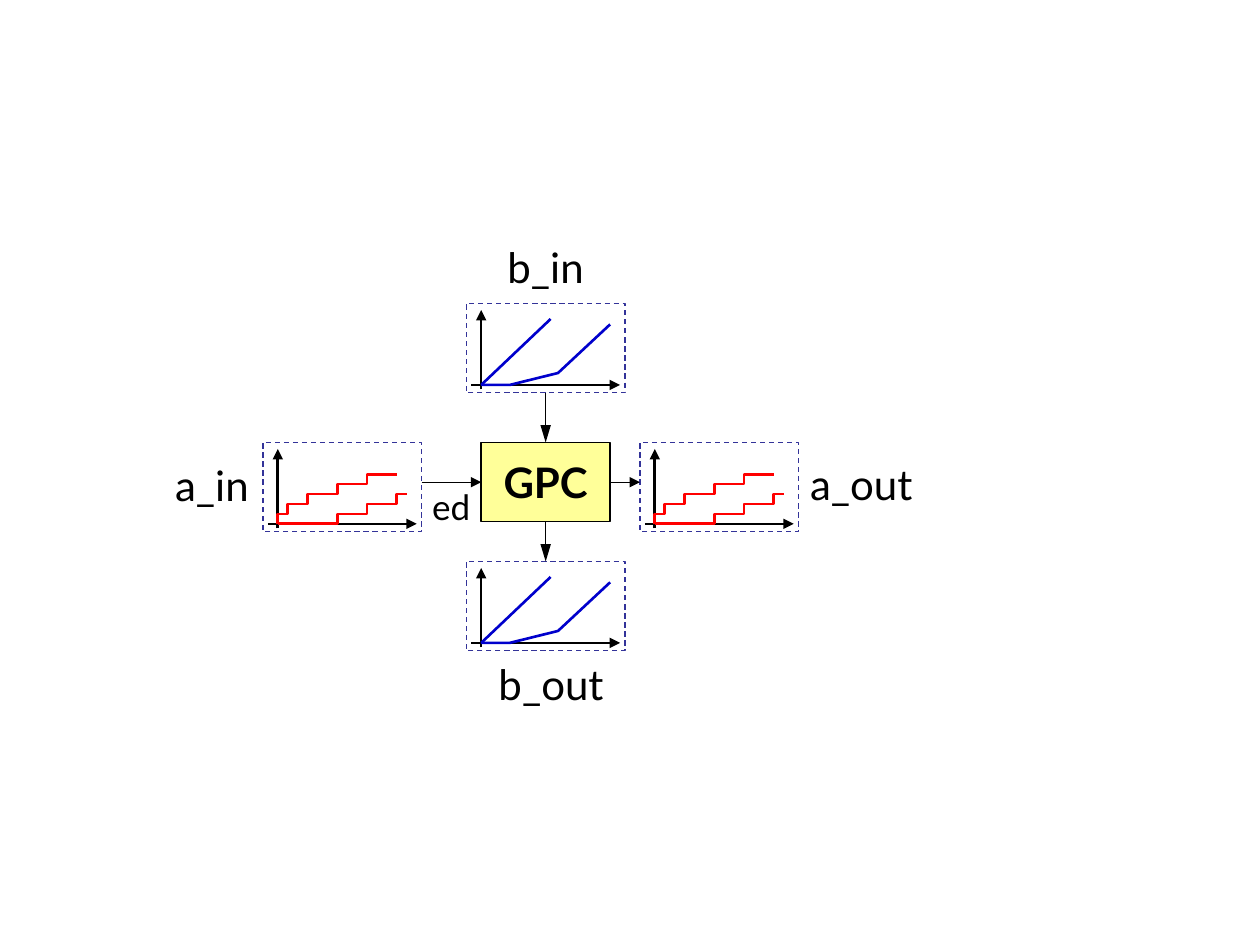
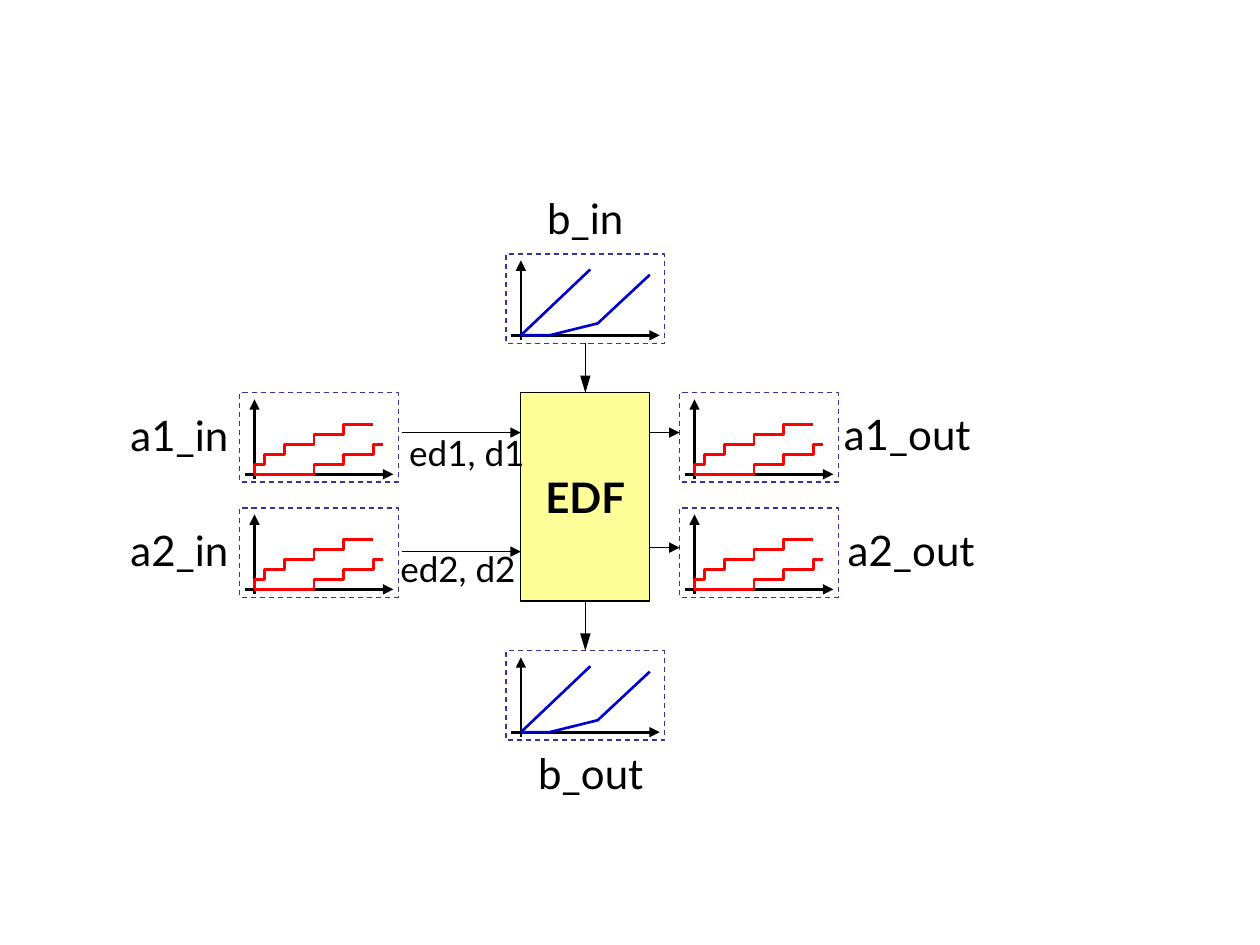
from dataclasses import dataclass

from lxml.etree import SubElement
from pptx import Presentation
from pptx.dml.color import RGBColor
from pptx.enum.dml import MSO_LINE
from pptx.enum.shapes import MSO_CONNECTOR, MSO_SHAPE
from pptx.enum.text import MSO_ANCHOR, MSO_AUTO_SIZE, PP_ALIGN
from pptx.oxml.ns import qn
from pptx.util import Inches, Pt


@dataclass(frozen=True)
class Theme:
    font: str = "Lato"
    ink: str = "000000"
    paper: str = "FFFFFF"
    block: str = "FFFF99"
    frame: str = "333399"
    service: str = "0000CC"
    arrival: str = "FF0000"
    label_size: int = 24
    note_size: int = 20
    thin: float = 0.75
    thick: float = 1.5


# Grid: square cells, 127 to the slide width
COLUMNS = 127
FRAME_W, FRAME_H = 16, 9
BLOCK_W = 13
ORIGIN_X, ORIGIN_Y = 1.5, 8.2  # chart origin inside its frame

# Curves in cells, right and up from the chart origin
SERVICE = [
    [(0, 0), (2.9, 0), (7.75, 1.2), (13, 6.1)],
    [(0, 0), (7, 6.65)],
]
ARRIVAL = [
    [(0, 0), (6, 0), (6, 1), (9, 1), (9, 2), (12, 2), (12, 3), (13, 3)],
    [(0, 0), (0, 1), (1, 1), (1, 2), (3, 2), (3, 3), (6, 3), (6, 4),
     (9, 4), (9, 5), (12, 5)],
]


class Diagram:
    """Draws the parts of a component diagram on the current slide."""

    def __init__(self, prs, theme):
        self.prs, self.theme = prs, theme
        self.cell = prs.slide_width / COLUMNS
        self.s = None

    def new_slide(self):
        self.s = self.prs.slides.add_slide(self.prs.slide_layouts[6])

    def emu(self, *cells):
        return [round(c * self.cell) for c in cells]

    def stroke(self, line, color, width):
        line.color.rgb = RGBColor.from_string(color)
        line.width = Pt(width)

    def set_text(self, sp, text, size, bold=False):
        tf = sp.text_frame
        tf.word_wrap = False
        tf.text = text
        font = tf.paragraphs[0].runs[0].font
        font.name, font.size, font.bold = self.theme.font, Pt(size), bold
        font.color.rgb = RGBColor.from_string(self.theme.ink)
        return tf

    def label(self, text, x, y, w, size=None):
        size = size or self.theme.label_size
        h = 6.4 if size == self.theme.label_size else 5.6
        sp = self.s.shapes.add_textbox(*self.emu(x, y, w, h))
        tf = self.set_text(sp, text, size)
        tf.auto_size = MSO_AUTO_SIZE.SHAPE_TO_FIT_TEXT

    def note(self, text, x, y, w):
        self.label(text, x, y, w, self.theme.note_size)

    def rect(self, shapes, box, fill, line):
        sp = shapes.add_shape(MSO_SHAPE.RECTANGLE, *self.emu(*box))
        sp.shadow.inherit = False
        sp.fill.solid()
        sp.fill.fore_color.rgb = RGBColor.from_string(fill)
        self.stroke(sp.line, line, self.theme.thin)
        return sp

    def block(self, text, x, y, h):
        sp = self.rect(self.s.shapes, (x, y, BLOCK_W, h),
                       self.theme.block, self.theme.ink)
        tf = self.set_text(sp, text, self.theme.label_size, bold=True)
        tf.vertical_anchor = MSO_ANCHOR.MIDDLE
        tf.paragraphs[0].alignment = PP_ALIGN.CENTER

    def line(self, shapes, start, end, color, width, head=None):
        sp = shapes.add_connector(MSO_CONNECTOR.STRAIGHT,
                                  *self.emu(*start, *end))
        self.stroke(sp.line, color, width)
        sp_pr = sp._element.spPr
        if head:
            SubElement(sp_pr.find(qn("a:ln")), qn("a:tailEnd"),
                       type="triangle", w="med", len=head)
        SubElement(sp_pr, qn("a:effectLst"))

    def curve(self, shapes, points, color):
        if len(points) == 2:
            self.line(shapes, *points, color, self.theme.thick)
            return
        start, *rest = [self.emu(*p) for p in points]
        outline = shapes.build_freeform(*start)
        outline.add_line_segments(rest, close=False)
        sp = outline.convert_to_shape()
        sp.shadow.inherit = False
        sp.fill.background()
        self.stroke(sp.line, color, self.theme.thick)

    def chart(self, curves, color, x, y):
        """Dashed frame with two axes and a pair of curves, as one group."""
        t = self.theme
        shapes = self.s.shapes.add_group_shape().shapes
        frame = self.rect(shapes, (x, y, FRAME_W, FRAME_H), t.paper, t.frame)
        frame.line.dash_style = MSO_LINE.DASH
        ox, oy = x + ORIGIN_X, y + ORIGIN_Y
        for start, end in (((x + 0.5, oy), (x + 15.5, oy)),
                           ((ox, y + 8.65), (ox, y + 0.65))):
            self.line(shapes, start, end, t.ink, t.thick, "med")
        for points in curves:
            self.curve(shapes, [(ox + u, oy - v) for u, v in points], color)

    def arrival(self, x, y):
        self.chart(ARRIVAL, self.theme.arrival, x, y)

    def flow_right(self, x1, x2, y):
        self.line(self.s.shapes, (x1, y), (x2, y),
                  self.theme.ink, self.theme.thin, "med")

    def flow_down(self, x, y1, y2):
        self.line(self.s.shapes, (x, y1), (x, y2),
                  self.theme.ink, self.theme.thin, "lg")

    def component(self, name, x, y, h, in_y, out_y):
        """Block with its service charts above and below, labels and arrows."""
        left, middle = x - 1.5, x + BLOCK_W / 2
        self.block(name, x, y, h)
        for top in (in_y, out_y):
            self.chart(SERVICE, self.theme.service, left, top)
        self.label("b_in", left + 2.9, in_y - 6.85, 10.7)
        self.label("b_out", left + 2, out_y + 9.15, 13.7)
        self.flow_down(middle, in_y + FRAME_H, y)
        self.flow_down(middle, y + h, out_y)


def gpc_slide(d):
    d.new_slide()
    x, y = 48.5, 44.6
    in_x, out_x = 26.5, 64.5
    d.component("GPC", x, y, 8, in_y=30.6, out_y=56.6)
    # Arrival curves
    d.arrival(in_x, y)
    d.arrival(out_x, y)
    d.flow_right(in_x + FRAME_W, x, y + 4)
    d.flow_right(x + BLOCK_W, out_x, y + 4)
    # Labels
    d.label("a_in", 16.4, 45.7, 10.4)
    d.label("a_out", 80.4, 45.6, 13.5)
    d.note("ed", 42.3, 48.3, 6.7)


def edf_slide(d):
    d.new_slide()
    x, y = 52.5, 39.6
    in_x, out_x = 24.15, 68.5
    d.component("EDF", x, y, 21, in_y=25.6, out_y=65.6)
    # One row per stream: chart top, input arrow, output label, note
    streams = [
        (1, y, 43.6, (83.8, 40.6), (40, 42.9)),
        (2, 51.2, 55.6, (84.2, 52.2), (39.1, 54.6)),
    ]
    for n, top, in_arrow, out_label, note in streams:
        d.arrival(in_x, top)
        d.arrival(out_x, top)
        d.flow_right(40.5, x, in_arrow)
        d.flow_right(x + BLOCK_W, out_x, top + 4)
        d.label(f"a{n}_in", 11.9, top + 1.05, 13)
        d.label(f"a{n}_out", *out_label, 15.9)
        d.note(f"ed{n}, d{n}", *note, 14.7)


def main():
    prs = Presentation()
    prs.slide_width, prs.slide_height = Inches(10), Inches(7.5)
    d = Diagram(prs, Theme())
    gpc_slide(d)
    edf_slide(d)
    prs.save("out.pptx")


if __name__ == "__main__":
    main()
